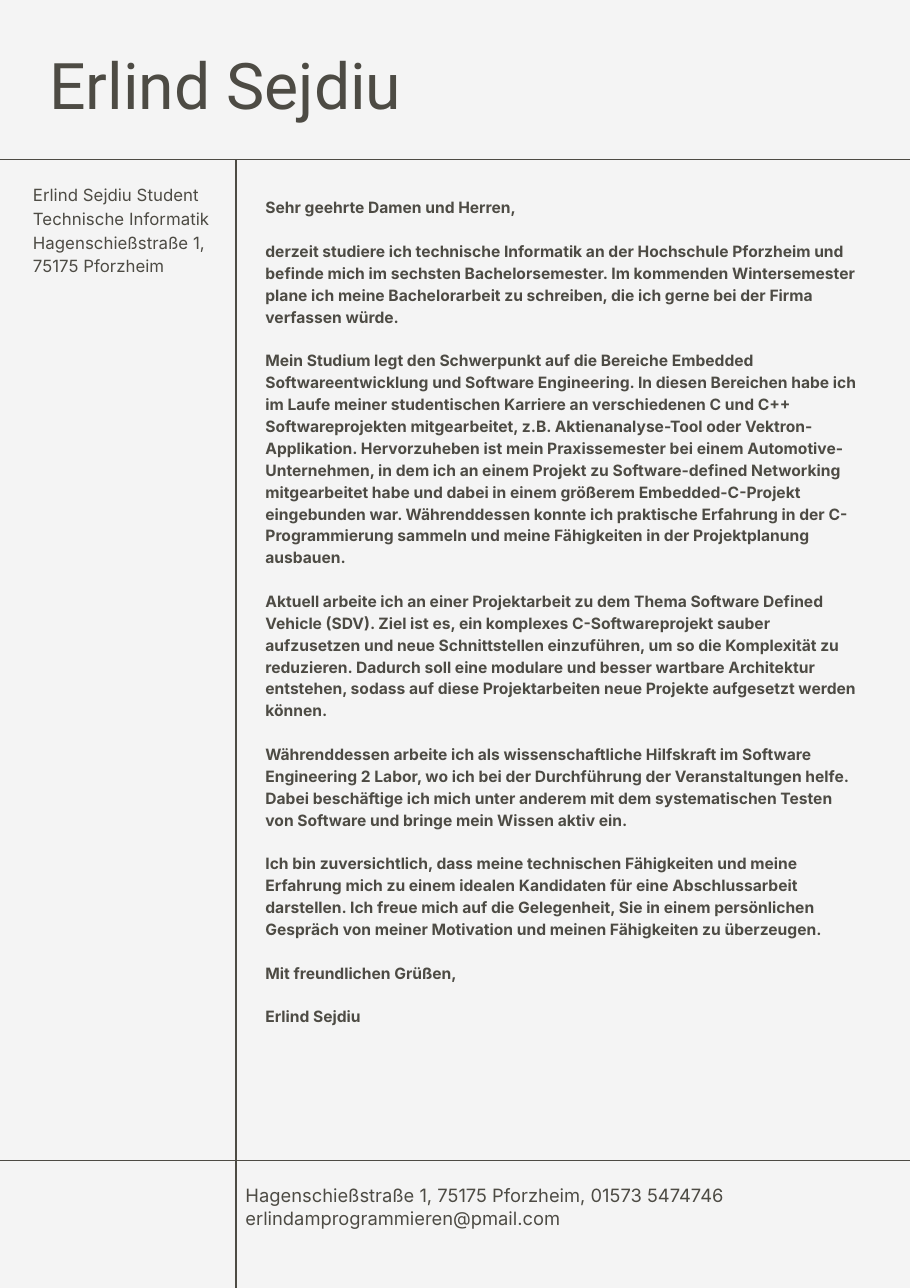
import dataclasses

import lxml.etree
import pptx
import pptx.dml.color
import pptx.enum.shapes
import pptx.enum.text
import pptx.oxml.ns
import pptx.util

Cm = pptx.util.Cm
Pt = pptx.util.Pt


@dataclasses.dataclass(frozen=True)
class Theme:
    ink: str = "4D4B44"
    paper: str = "F4F4F4"
    body: str = "Inter"
    head: str = "Roboto"
    name_size: float = 42
    side_size: float = 11
    text_size: float = 10.2
    foot_size: float = 12
    rule: float = 0.75


WIDE, HIGH = 20.98, 29.69
TOP, LOW, SIDE = 3.68, 26.75, 5.44

SENDER = [
    "Erlind Sejdiu Student",
    "Technische Informatik",
    "Hagenschießstraße 1,",
    "75175 Pforzheim",
]

LETTER = [
    "Sehr geehrte Damen und Herren,",
    "derzeit studiere ich technische Informatik an der Hochschule Pforzheim "
    "und befinde mich im sechsten Bachelorsemester. Im kommenden "
    "Wintersemester plane ich meine Bachelorarbeit zu schreiben, die ich "
    "gerne bei der Firma verfassen würde.",
    "Mein Studium legt den Schwerpunkt auf die Bereiche Embedded "
    "Softwareentwicklung und Software Engineering. In diesen Bereichen habe "
    "ich im Laufe meiner studentischen Karriere an verschiedenen C und C++ "
    "Softwareprojekten mitgearbeitet, z.B. Aktienanalyse-Tool oder "
    "Vektron-Applikation. Hervorzuheben ist mein Praxissemester bei einem "
    "Automotive-Unternehmen, in dem ich an einem Projekt zu "
    "Software-defined Networking mitgearbeitet habe und dabei in einem "
    "größerem Embedded-C-Projekt eingebunden war. Währenddessen konnte ich "
    "praktische Erfahrung in der C-Programmierung sammeln und meine "
    "Fähigkeiten in der Projektplanung ausbauen.",
    "Aktuell arbeite ich an einer Projektarbeit zu dem Thema Software "
    "Defined Vehicle (SDV). Ziel ist es, ein komplexes C-Softwareprojekt "
    "sauber aufzusetzen und neue Schnittstellen einzuführen, um so die "
    "Komplexität zu reduzieren. Dadurch soll eine modulare und besser "
    "wartbare Architektur entstehen, sodass auf diese Projektarbeiten neue "
    "Projekte aufgesetzt werden können.",
    "Währenddessen arbeite ich als wissenschaftliche Hilfskraft im Software "
    "Engineering 2 Labor, wo ich bei der Durchführung der Veranstaltungen "
    "helfe. Dabei beschäftige ich mich unter anderem mit dem systematischen "
    "Testen von Software und bringe mein Wissen aktiv ein.",
    "Ich bin zuversichtlich, dass meine technischen Fähigkeiten und meine "
    "Erfahrung mich zu einem idealen Kandidaten für eine Abschlussarbeit "
    "darstellen. Ich freue mich auf die Gelegenheit, Sie in einem "
    "persönlichen Gespräch von meiner Motivation und meinen Fähigkeiten zu "
    "überzeugen.",
    "Mit freundlichen Grüßen,",
    "Erlind Sejdiu",
]

CONTACT = [
    "Hagenschießstraße 1, 75175 Pforzheim, 01573 5474746 "
    "erlindamprogrammieren@pmail.com"
]


def color(code):
    return pptx.dml.color.RGBColor.from_string(code)


def write(frame, lines, *, size, font, ink, lead, gap=0, bold=False,
          inset=(0, 0)):
    """Fill a text frame with one paragraph per line, gap points apart."""
    frame.word_wrap = True
    frame.auto_size = pptx.enum.text.MSO_AUTO_SIZE.SHAPE_TO_FIT_TEXT
    frame.vertical_anchor = pptx.enum.text.MSO_ANCHOR.TOP
    frame.margin_left = frame.margin_right = Cm(inset[0])
    frame.margin_top = frame.margin_bottom = Cm(inset[1])
    for i, line in enumerate(lines):
        para = frame.add_paragraph() if i else frame.paragraphs[0]
        para.alignment = pptx.enum.text.PP_ALIGN.LEFT
        para.line_spacing = Pt(lead)
        para.space_before = Pt(gap if i else 0)
        run = para.add_run()
        run.text = line
        run.font.size = Pt(size)
        run.font.name = font
        run.font.bold = bold
        run.font.color.rgb = color(ink)


class Page:
    def __init__(self, deck, theme):
        self.theme = theme
        self.slide = deck.slides.add_slide(deck.slide_layouts[5])
        fill = self.slide.background.fill
        fill.solid()
        fill.fore_color.rgb = color(theme.paper)

    def title(self, line, box, **form):
        shape = self.slide.shapes.title
        shape.left, shape.top, shape.width, shape.height = map(Cm, box)
        write(shape.text_frame, [line], font=self.theme.head,
              ink=self.theme.ink, **form)

    def text(self, lines, box, **form):
        shape = self.slide.shapes.add_textbox(*map(Cm, box))
        write(shape.text_frame, lines, font=self.theme.body,
              ink=self.theme.ink, **form)

    def rule(self, *ends):
        line = self.slide.shapes.add_connector(
            pptx.enum.shapes.MSO_CONNECTOR.STRAIGHT, *map(Cm, ends))
        line.line.color.rgb = color(self.theme.ink)
        line.line.width = Pt(self.theme.rule)
        lxml.etree.SubElement(line._element.spPr,
                              pptx.oxml.ns.qn("a:effectLst"))


def main():
    deck = pptx.Presentation()
    deck.slide_width, deck.slide_height = Cm(WIDE), Cm(HIGH)
    theme = Theme()
    page = Page(deck, theme)

    for y in (TOP, LOW):
        page.rule(0, y, WIDE, y)
    page.rule(SIDE, TOP, SIDE, HIGH)

    page.title("Erlind Sejdiu", (1.14, 1.02, 11.61, 1.8),
               size=theme.name_size, lead=50.8)
    page.text(SENDER, (0.76, 4.19, 4.24, 2.11),
              size=theme.side_size, lead=15.4)
    page.text(LETTER, (6.12, 4.5, 13.69, 18.92),
              size=theme.text_size, lead=14.3, gap=14.3, bold=True)
    page.text(CONTACT, (5.41, 27.13, 12.27, 1.3),
              size=theme.foot_size, lead=15.4, inset=(0.25, 0.13))

    deck.save("out.pptx")


if __name__ == "__main__":
    main()
